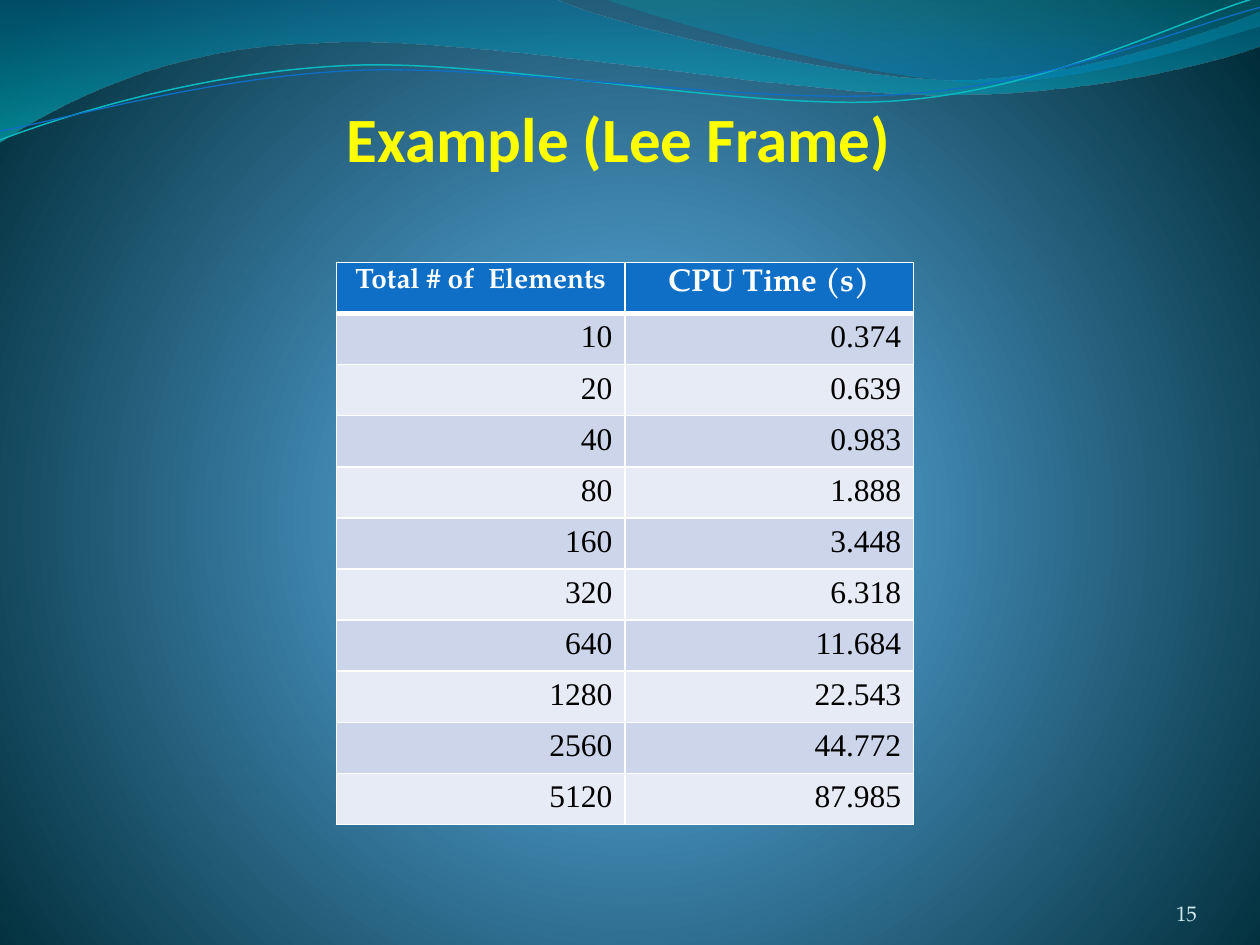
import math
import pptx
import pptx.util
import pptx.dml.color
import pptx.enum.text
import pptx.oxml
import pptx.oxml.ns

Cm = pptx.util.Cm
Pt = pptx.util.Pt
rgb = pptx.dml.color.RGBColor.from_string
align = pptx.enum.text.PP_ALIGN
anchor = pptx.enum.text.MSO_ANCHOR
qn = pptx.oxml.ns.qn
space = pptx.oxml.ns.nsdecls("a")


def blend(root, stops, shade):
    old = root.find(".//" + qn("a:gradFill"))
    marks = "".join(
        f'<a:gs pos="{pos * 1000}"><a:srgbClr val="{tint}">'
        f'<a:alpha val="{alpha * 1000}"/></a:srgbClr></a:gs>'
        for pos, tint, alpha in stops
    )
    new = f'<a:gradFill {space} rotWithShape="1"><a:gsLst>{marks}</a:gsLst>{shade}</a:gradFill>'
    old.getparent().replace(old, pptx.oxml.parse_xml(new))


def write(frame, text, side, size, font, tint, bold=False):
    para = frame.paragraphs[0]
    para.alignment = side
    run = para.add_run()
    run.text = text
    run.font.size = Pt(size)
    run.font.name = font
    run.font.bold = bold
    run.font.color.rgb = rgb(tint)


deck = pptx.Presentation()
deck.slide_width = Cm(25.4)
deck.slide_height = Cm(19.05)
slide = deck.slides.add_slide(deck.slide_layouts[6])

slide.background.fill.gradient()
blend(
    slide._element,
    [(0, "4AA0D6", 100), (25, "4C98C7", 100), (100, "002C38", 100)],
    '<a:path path="circle"><a:fillToRect l="10000" t="110000" r="10000" b="100000"/></a:path>',
)

bands = [
    ([(0, "0074A1", 45), (100, "00C6CF", 55)], [
        (0, 0),
        (11.18, -0.03),
        (12.09, 0.43, 16.87, 1.6, 19.25, 1.6),
        (21.67, 1.6, 24.33, 0.66, 25.4, 0.23),
        (25.43, 0.91),
        (24.97, 1.12, 22.1, 1.93, 18.95, 1.91),
        (15.8, 1.91, 9.7, 0.71, 6.53, 0.86),
        (3.28, 0.91, 1.17, 2.11, -0.03, 2.87),
    ]),
    ([(0, "00A1A9", 30), (80, "008BBF", 45)], [
        (12.17, -0.03),
        (12.93, 0.28, 17.32, 1.57, 19.53, 1.65),
        (21.74, 1.75, 24.41, 0.81, 25.4, 0.53),
        (25.4, 0),
    ]),
    (("0AB8BF", 0.85), [
        (0, 2.82),
        (1.22, 2.36, 4.01, 1.45, 7.04, 1.32),
        (10.03, 1.19, 15.06, 2.26, 18.11, 2.03),
        (21.16, 1.8, 23.83, 0.38, 25.35, -0.05),
    ]),
    (("0F6FC6", 0.75), [
        (0, 2.64),
        (1.19, 2.44, 4.17, 1.55, 7.19, 1.42),
        (10.24, 1.3, 15.16, 2.13, 18.21, 1.9),
        (21.23, 1.7, 23.9, 0.53, 25.4, 0.15),
    ]),
]
midx, midy = 12.7, 1.48
for paint, parts in bands:
    solid = isinstance(paint, list)
    tilt = 0 if solid else 2.7
    cos, sin = math.cos(math.radians(tilt)), math.sin(math.radians(tilt))
    curves = []
    for part in parts:
        pairs = [(x - midx, y - midy) for x, y in zip(part[::2], part[1::2])]
        curves.append([
            (Cm(midx + x * cos - y * sin), Cm(midy + x * sin + y * cos)) for x, y in pairs
        ])
    ends = [curve[-1] for curve in curves]
    pen = slide.shapes.build_freeform(*ends[0])
    pen.add_line_segments(ends[1:], close=solid)
    wave = pen.convert_to_shape()
    for line, curve in zip(list(wave._element.iter(qn("a:lnTo"))), curves[1:]):
        if len(curve) == 3:
            dots = "".join(f'<a:pt x="{x - wave.left}" y="{y - wave.top}"/>' for x, y in curve)
            bend = pptx.oxml.parse_xml(f"<a:cubicBezTo {space}>{dots}</a:cubicBezTo>")
            line.getparent().replace(line, bend)
    wave.rotation = -tilt
    wave.shadow.inherit = False
    if solid:
        wave.fill.gradient()
        blend(wave._element, paint, '<a:lin ang="5400000" scaled="0"/>')
        wave.line.fill.background()
    else:
        wave.fill.background()
        wave.line.color.rgb = rgb(paint[0])
        wave.line.width = Pt(paint[1])

serif = "TeX Gyre Pagella"
for left, top, width, height, inset, *style in [
    (22.02, 17.65, 2.11, 1.02, 0, "15", align.RIGHT, 12, serif, "D1EAEE"),
    (4.03, 2.07, 16.94, 1.47, 0.05, "Example (Lee Frame)", align.CENTER, 36, "Calibri", "FFFF00", True),
]:
    frame = slide.shapes.add_textbox(Cm(left), Cm(top), Cm(width), Cm(height)).text_frame
    frame.word_wrap = True
    frame.vertical_anchor = anchor.BOTTOM
    frame.margin_left = frame.margin_top = frame.margin_bottom = 0
    frame.margin_right = Cm(inset)
    write(frame, *style)

heads = [("Total # of  Elements", 16), ("CPU Time (s)", 18)]
times = ["0.374", "0.639", "0.983", "1.888", "3.448",
         "6.318", "11.684", "22.543", "44.772", "87.985"]
rows = [heads] + [[(str(10 * 2 ** n), 18), (time, 18)] for n, time in enumerate(times)]
table = slide.shapes.add_table(
    len(rows), 2, Cm(6.78), Cm(5.29), Cm(11.64), Cm(1.03 * len(rows))
).table
table.first_row = False
table.horz_banding = False
for r, row in enumerate(rows):
    for c, (text, size) in enumerate(row):
        cell = table.cell(r, c)
        cell.fill.solid()
        if r == 0:
            cell.fill.fore_color.rgb = rgb("0F6FC6")
            write(cell.text_frame, text, align.CENTER, size, serif, "FFFFFF", True)
        else:
            cell.fill.fore_color.rgb = rgb("CCD5EA" if r % 2 else "E7EBF5")
            write(cell.text_frame, text, align.RIGHT, size, "Times New Roman", "000000")
        for i, edge in enumerate("LRTB"):
            thick = Pt(3 if (r, edge) in [(0, "B"), (1, "T")] else 1)
            cell._tc.tcPr.insert(i, pptx.oxml.parse_xml(
                f'<a:ln{edge} {space} w="{thick}"><a:solidFill>'
                f'<a:srgbClr val="FFFFFF"/></a:solidFill></a:ln{edge}>'
            ))

deck.save("out.pptx")
